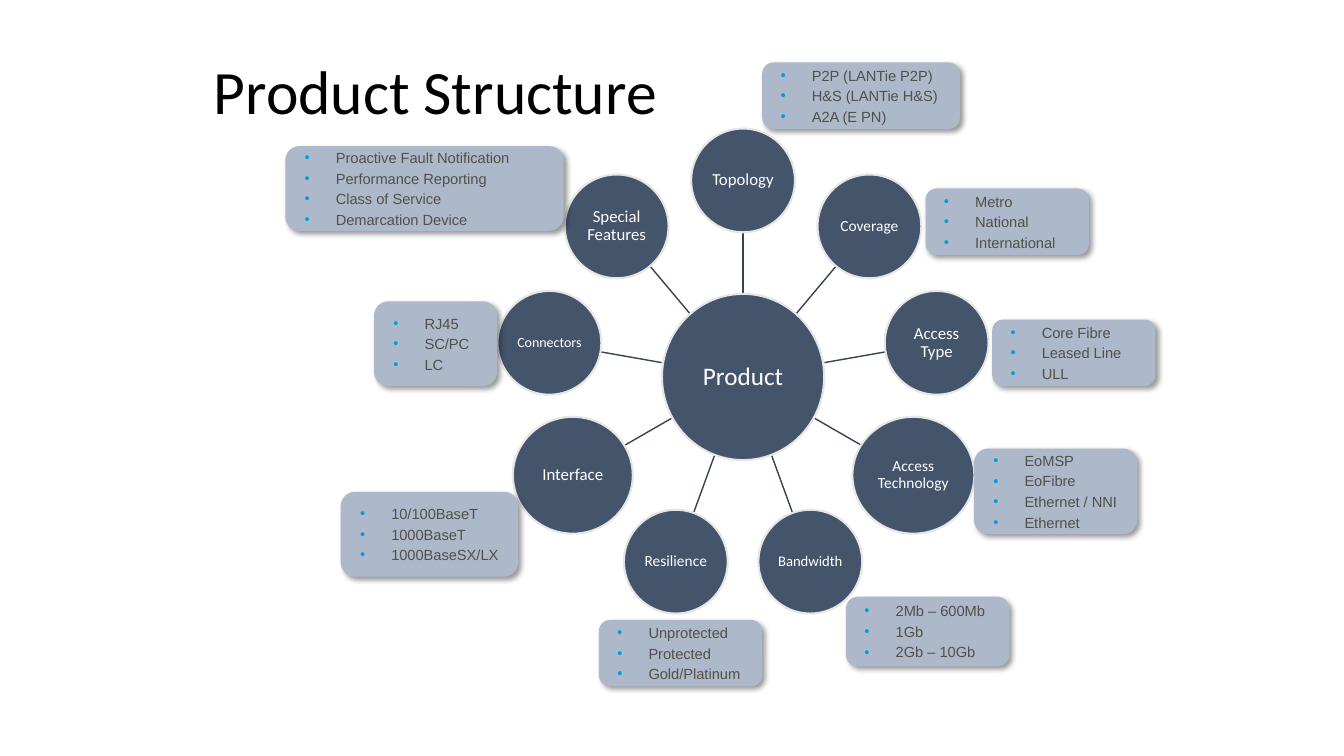
from math import cos, radians, sin

from lxml import etree
from pptx import Presentation
from pptx.dml.color import RGBColor
from pptx.enum import shapes, text
from pptx.oxml import ns, parse_xml
from pptx.util import Inches, Pt

NS = ns.nsdecls("a")
SHADOW = f"""<a:effectLst {NS}><a:outerShdw blurRad="50800" dist="38100" dir="2700000"
 algn="tl" rotWithShape="0"><a:srgbClr val="000000"><a:alpha val="40000"/></a:srgbClr>
</a:outerShdw></a:effectLst>"""


def style(font, size, color, name="Calibri"):
    font.name, font.size = name, Pt(size)
    font.color.rgb = RGBColor.from_string(color)


def add_box(kind, left, top, wide, high, fill, inset):
    box = slide.shapes.add_shape(kind, *map(Inches, (left, top, wide, high)))
    box.shadow.inherit = False
    box.fill.solid()
    box.fill.fore_color.rgb = RGBColor.from_string(fill)
    frame = box.text_frame
    frame.word_wrap = True
    frame.vertical_anchor = text.MSO_ANCHOR.MIDDLE
    frame.margin_left = frame.margin_right = Inches(inset)
    frame.margin_top = frame.margin_bottom = Inches(inset)
    return box


deck = Presentation()
deck.slide_width, deck.slide_height = Inches(13.33), Inches(7.5)
slide = deck.slides.add_slide(deck.slide_layouts[5])

# Title
title = slide.shapes.title
title.left, title.top = Inches(2.02), Inches(0.52)
title.width, title.height = Inches(8.86), Inches(0.83)
title.text_frame.text = "Product Structure"
title.text_frame.vertical_anchor = text.MSO_ANCHOR.MIDDLE
head = title.text_frame.paragraphs[0]
head.alignment = text.PP_ALIGN.LEFT
head.line_spacing = 0.9
style(head.runs[0].font, 44, "000000")

# Hub and ring: label, width, height, font size, clockwise from the top
MID_X, MID_Y, RING, HUB = 7.37, 3.74, 1.95, 0.82
hub = ("Product", 1.61, 1.65, 18)
ring = [
    ("Topology", 1.03, 1.03, 12),
    ("Coverage", 1.03, 1.03, 11),
    ("Access Type", 1.03, 1.03, 12),
    ("Access Technology", 1.21, 1.16, 11),
    ("Bandwidth", 1.03, 1.03, 10.5),
    ("Resilience", 1.03, 1.03, 11),
    ("Interface", 1.19, 1.16, 12),
    ("Connectors", 1.03, 1.03, 10),
    ("Special Features", 1.03, 1.03, 12),
]
nodes = [(hub, MID_X, MID_Y)]
for i, node in enumerate(ring):
    angle = radians(i * 360 / len(ring))
    dx, dy = sin(angle), -cos(angle)
    nodes.append((node, MID_X + RING * dx, MID_Y + RING * dy))

    # Spoke from the hub's rim to the node's rim
    end = RING - node[1] / 2
    spoke = slide.shapes.add_connector(
        shapes.MSO_CONNECTOR.STRAIGHT,
        Inches(MID_X + HUB * dx), Inches(MID_Y + HUB * dy),
        Inches(MID_X + end * dx), Inches(MID_Y + end * dy))
    spoke.line.color.rgb = RGBColor.from_string("364355")
    spoke.line.width = Pt(1)
    etree.SubElement(spoke._element.spPr, ns.qn("a:effectLst"))

for (label, wide, high, size), x, y in nodes:
    disc = add_box(shapes.MSO_SHAPE.OVAL, x - wide / 2, y - high / 2,
                   wide, high, "44546A", 0.01)
    disc.line.color.rgb = RGBColor.from_string("E7E6E6")
    disc.line.width = Pt(1.5)
    disc.text_frame.text = label
    para = disc.text_frame.paragraphs[0]
    para.alignment = text.PP_ALIGN.CENTER
    para.line_spacing = 0.9
    style(para.runs[0].font, size, "FFFFFF")

# Detail cards: left, top, width, height, items
cards = [
    (9.18, 1.87, 1.62, 0.66, ["Metro", "National", "International"]),
    (7.56, 0.62, 1.96, 0.66, ["P2P (LANTie P2P)", "H&S (LANTie H&S)", "A2A (E PN)"]),
    (9.84, 3.17, 1.62, 0.66, ["Core Fibre", "Leased Line", "ULL"]),
    (8.39, 5.92, 1.62, 0.69, ["2Mb – 600Mb", "1Gb", "2Gb – 10Gb"]),
    (5.94, 6.15, 1.62, 0.66, ["Unprotected", "Protected", "Gold/Platinum"]),
    (9.66, 4.45, 1.62, 0.85, ["EoMSP", "EoFibre", "Ethernet / NNI", "Ethernet"]),
    (3.38, 4.88, 1.76, 0.84, ["10/100BaseT", "1000BaseT", "1000BaseSX/LX"]),
    (3.71, 2.99, 1.22, 0.84, ["RJ45", "SC/PC", "LC"]),
    (2.83, 1.45, 2.76, 0.84, ["Proactive Fault Notification", "Performance Reporting",
                              "Class of Service", "Demarcation Device"]),
]
for left, top, wide, high, items in cards:
    card = add_box(shapes.MSO_SHAPE.ROUNDED_RECTANGLE, left, top, wide, high,
                   "ADB9CA", 0.07)
    card.line.fill.background()
    props = card._element.spPr
    props.replace(props.find(ns.qn("a:effectLst")), parse_xml(SHADOW))
    card.text_frame.text = "\n".join(items)
    for n, para in enumerate(card.text_frame.paragraphs):
        para.alignment = text.PP_ALIGN.LEFT
        para.space_before = Pt(2.1 if n else 0)
        rule = para._p.get_or_add_pPr()
        rule.set("marL", str(Inches(0.39)))
        rule.set("indent", str(Inches(-0.31)))
        rule.append(parse_xml(f'<a:buClr {NS}><a:srgbClr val="009DE0"/></a:buClr>'))
        rule.append(parse_xml(f'<a:buFont {NS} typeface="Arial"/>'))
        rule.append(parse_xml(f'<a:buChar {NS} char="•"/>'))
        style(para.runs[0].font, 10.5, "515049", "Arial")

deck.save("out.pptx")
